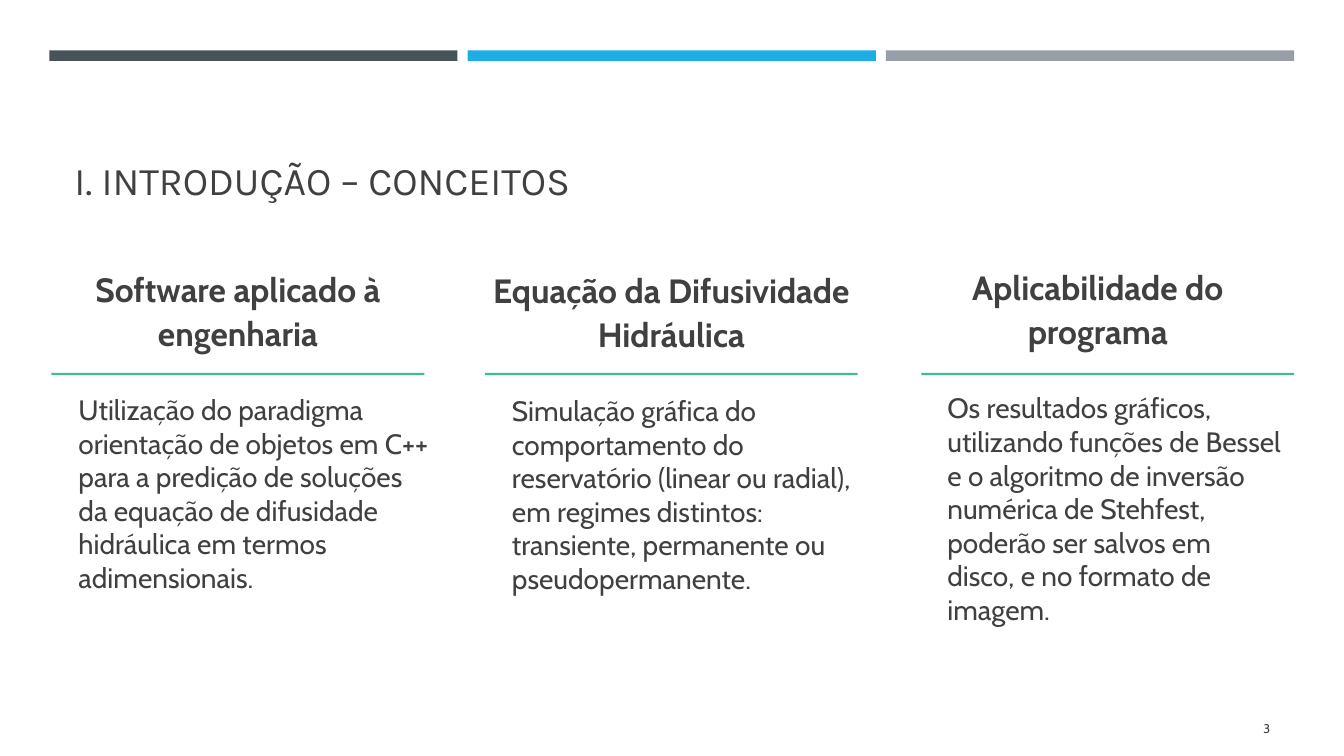
from pptx import Presentation
from pptx.dml.color import RGBColor as RGB
from pptx.enum.shapes import MSO_SHAPE as Shape
from pptx.enum.text import MSO_ANCHOR as Anchor, PP_ALIGN as Align
from pptx.util import Pt

INK = RGB(0x40, 0x40, 0x40)
GREEN = RGB(0x42, 0xBA, 0x97)
BARS = [RGB(0x46, 0x53, 0x59), RGB(0x1C, 0xAD, 0xE4), RGB(0x96, 0x9F, 0xA7)]
COLUMNS = [
    ((23.8, 194.4, 292.3, 224.6), 36.7, "Software aplicado à engenharia",
     "Utilização do paradigma orientação de objetos em C++ para a predição de "
     "soluções da equação de difusidade hidráulica em termos adimensionais."),
    ((333.4, 195.1, 292.3, 224.6), 346.3, "Equação da Difusividade Hidráulica",
     "Simulação gráfica do comportamento do reservatório (linear ou radial), "
     "em regimes distintos: transiente, permanente ou pseudopermanente."),
    ((644.4, 205.2, 279.4, 224.6), 658.1, "Aplicabilidade do programa",
     "Os resultados gráficos, utilizando funções de Bessel e o algoritmo de "
     "inversão numérica de Stehfest, poderão ser salvos em disco, e no formato "
     "de imagem."),
]


def add_bar(slide, box, color):
    """Draw a plain filled rectangle in the box."""
    bar = slide.shapes.add_shape(Shape.RECTANGLE, *map(Pt, box))
    bar.shadow.inherit = False
    bar.fill.solid()
    bar.fill.fore_color.rgb = color
    bar.line.fill.background()


def add_frame(slide, box, anchor):
    """Add a wrapping text box and return its text frame."""
    frame = slide.shapes.add_textbox(*map(Pt, box)).text_frame
    frame.word_wrap = True
    frame.vertical_anchor = anchor
    return frame


def set_text(para, text, size, face="Cabin", bold=False, align=Align.LEFT):
    """Fill a paragraph with text in one style."""
    para.text = text
    para.alignment = align
    font = para.font
    font.name, font.size, font.bold = face, Pt(size), bold
    font.color.rgb = INK


def add_strip(slide, box):
    """Draw the three coloured bars side by side across the box."""
    left, top, width, height = box
    gap = 7.2
    size = (width - gap * (len(BARS) - 1)) / len(BARS)
    for i, color in enumerate(BARS):
        add_bar(slide, (left + i * (size + gap), top, size, height), color)


def add_column(slide, box, rule, head, body):
    """Place a heading and its body in the box, parted by a green rule."""
    add_bar(slide, (rule, 266.4, 266.4, 1.5), GREEN)
    frame = add_frame(slide, box, Anchor.MIDDLE)
    title = frame.paragraphs[0]
    title.line_spacing = 1.1
    title.space_after = Pt(24)
    set_text(title, head, 24, bold=True, align=Align.CENTER)
    para = frame.add_paragraph()
    para._p.get_or_add_pPr().set("marL", str(Pt(25.2)))
    para.space_before = Pt(4)
    para.space_after = Pt(6)
    set_text(para, body, 20)


def main():
    """Build the slide and save it."""
    deck = Presentation()
    deck.slide_width, deck.slide_height = Pt(960), Pt(540)
    slide = deck.slides.add_slide(deck.slide_layouts[6])
    add_strip(slide, (35.2, 36, 889.2, 7.5))
    title = add_frame(slide, (46.1, 55.4, 868.3, 93.6), Anchor.BOTTOM)
    set_text(title.paragraphs[0], "I. INTRODUÇÃO – CONCEITOS", 28, "Karla")
    for column in COLUMNS:
        add_column(slide, *column)
    number = add_frame(slide, (831.6, 506.2, 82.8, 28.8), Anchor.MIDDLE)
    set_text(number.paragraphs[0], "3", 9, align=Align.RIGHT)
    deck.save("out.pptx")


if __name__ == "__main__":
    main()
